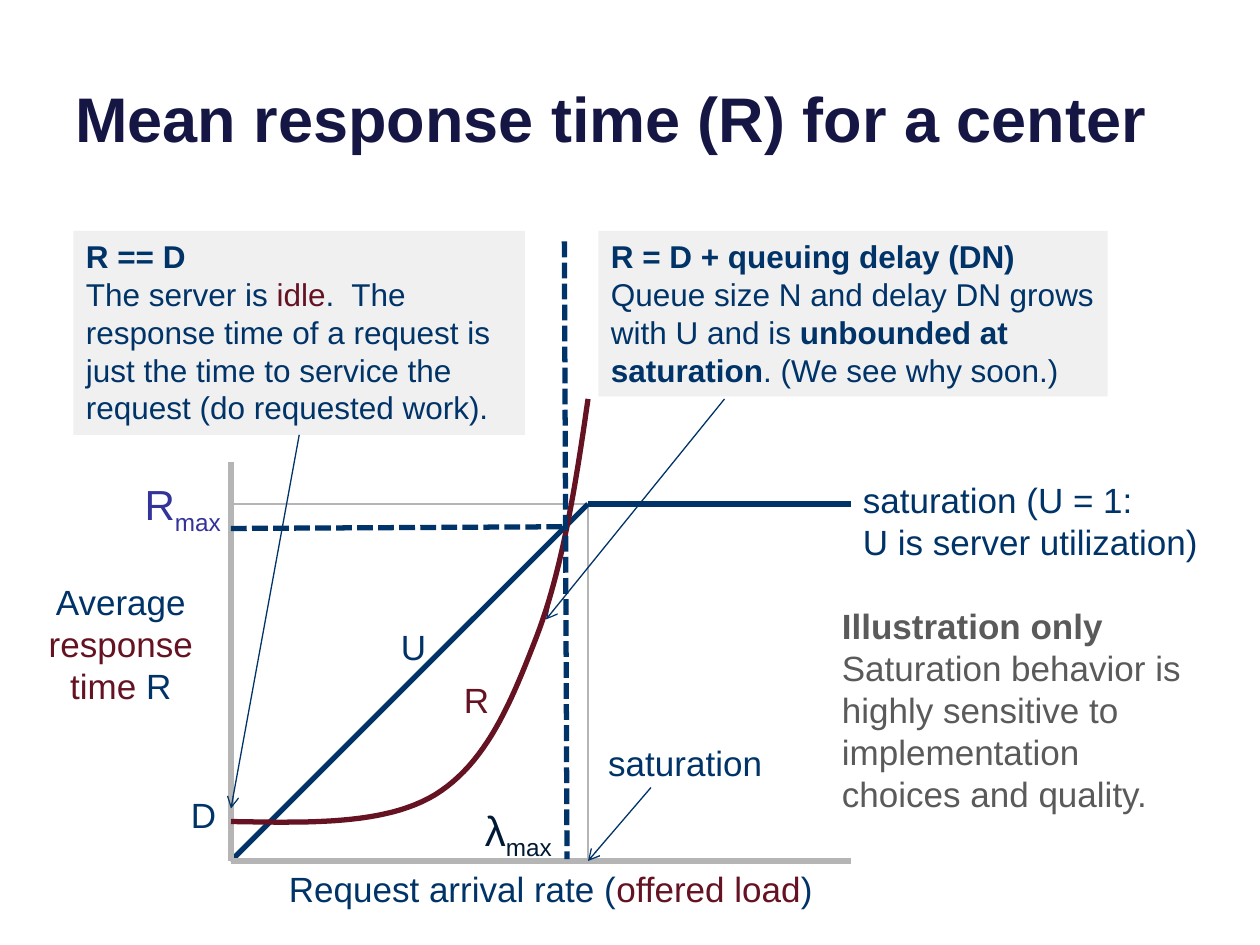
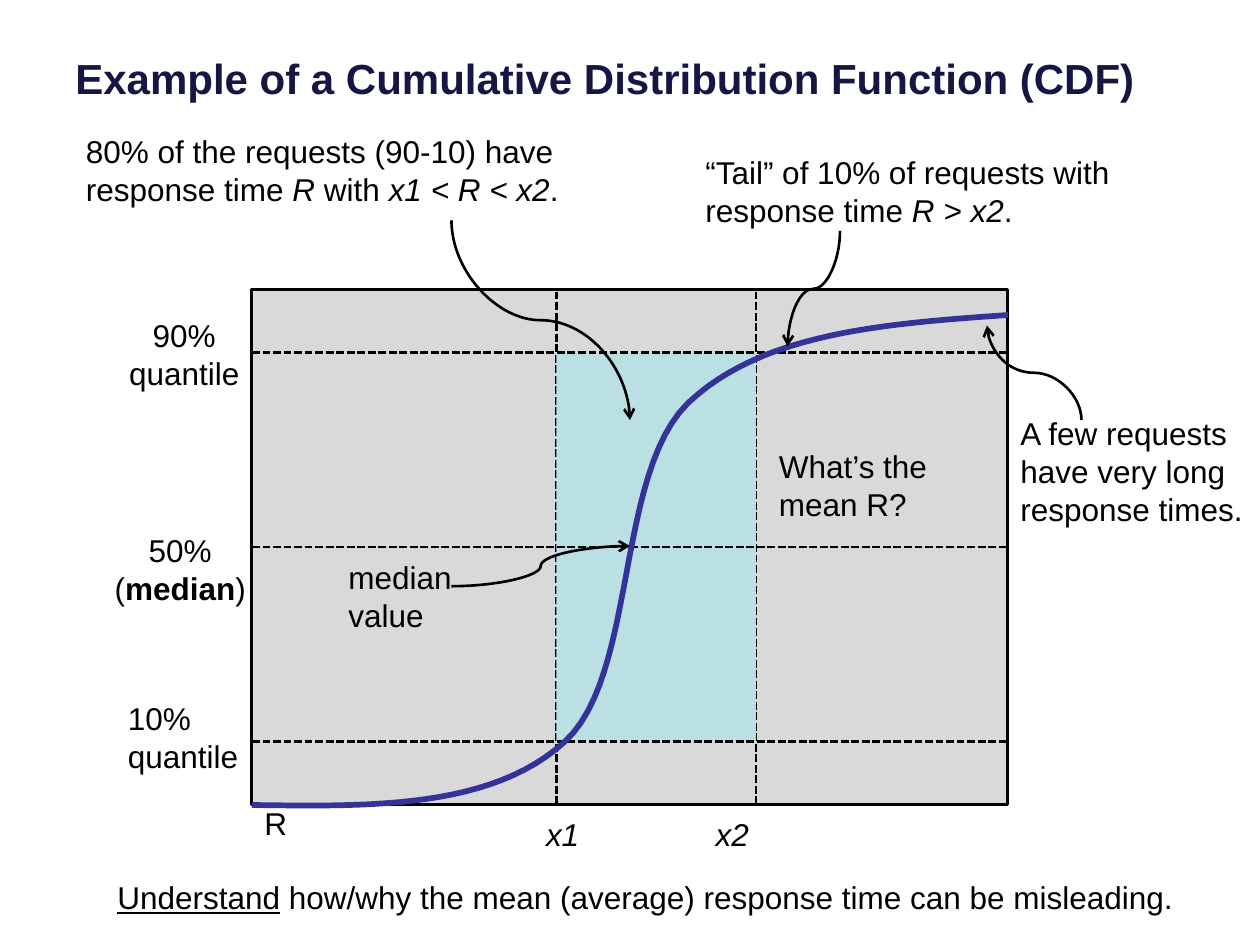
from dataclasses import dataclass
from lxml.etree import SubElement as Sub
from pptx import Presentation
from pptx.dml.color import RGBColor as Rgb
from pptx.enum.dml import MSO_LINE as Dash
from pptx.enum.shapes import MSO_CONNECTOR as Link, MSO_SHAPE as Kind
from pptx.enum.text import MSO_ANCHOR as Anchor, MSO_AUTO_SIZE as Auto, PP_ALIGN as Align
from pptx.oxml.ns import qn
from pptx.util import Pt


@dataclass(frozen=True)
class Theme:
    font: str = "Arial"
    head: str = "161645"
    navy: str = "003367"
    wine: str = "651222"
    dark: str = "001934"
    blue: str = "333399"
    axis: str = "B5B5B5"
    note: str = "5A5A5A"
    pale: str = "F0F0F0"
    white: str = "FFFFFF"
    plot: str = "D9D9D9"
    teal: str = "BBE0E3"
    black: str = "000000"
    big: int = 36
    sub: int = 24
    mid: int = 20
    small: int = 18
    thick: float = 3
    thin: float = 0.75
    rule: float = 1.5
    edge: float = 1.75
    bold: float = 3.25


T = Theme()

MEAN = "Mean response time (R) for a center"
LEFT, RIGHT, TOP, BASE = 132, 486, 264, 492
SAT, FULL = 336, 288
SIDE = SAT - LEFT

IDLE = dict(
    text=[[("R == D", "b")],
          [("The server is ", ""), ("idle", "w"),
           (".  The response time of a request is just the time to service the request (do requested work).", "")]],
    at=(42, 132, 258, 116.5), size=T.small, ink=T.navy, fill=T.pale)
LOADED = dict(
    text=[[("R = D + queuing delay (DN)", "b")],
          [("Queue size N and delay DN grows with U and is ", ""),
           ("unbounded at saturation", "b"), (". (We see why soon.)", "")]],
    at=(342, 132, 291, 94.5), size=T.small, ink=T.navy, fill=T.pale)
NOTE = dict(
    text=[[("Illustration only", "b")],
          [("Saturation behavior is highly sensitive to implementation choices and quality.", "")]],
    at=(474, 342, 222, 128), size=T.mid, ink=T.note, fill=T.white)
AVERAGE = dict(
    text=[[("Average ", ""), ("response time ", "w"), ("R", "")]],
    at=(6, 328, 126, 80), size=T.mid, ink=T.navy, align=Align.CENTER)

LABELS = [
    ([[("Request arrival rate (", ""), ("offered load", "w"), (")", "")]], (158, 492, 316, 32), T.mid, T.navy),
    ([[("saturation", "")]], (340.5, 420, 103, 32), T.mid, T.navy),
    ([[("saturation (U = 1:", "")], [("U is server utilization)", "")]], (486, 270, 207.5, 55.5), T.mid, T.navy),
    ([[("U", "")]], (222, 354, 29, 32), T.mid, T.navy),
    ([[("R", "")]], (258, 384, 29, 32), T.mid, T.wine),
    ([[("D", "")]], (102, 450, 29, 32), T.mid, T.navy),
    ([[("R", ""), ("max", "s")]], (75.5, 270, 62.5, 36), T.sub, T.blue),
    ([[("λ", ""), ("max", "s")]], (270, 456, 58.5, 36), T.sub, T.dark),
]
AXES = [
    ((SAT, FULL, RIGHT, FULL), T.navy),
    ((LEFT, BASE, SAT, FULL), T.navy),
    ((LEFT, TOP, LEFT, BASE), T.axis),
    ((RIGHT, BASE, LEFT, BASE), T.axis),
]
DELAY = [(LEFT, 469.5), (175.7, 470.2), (219.6, 471.6), (248.4, 454.3), (277.9, 436.3),
         (292.3, 401), (306.7, 363.6), (321.1, 326.2), (329, 277.2), (SAT, 228)]
HINTS = [(372, 450, SAT, BASE), (414, 228, 312, 354)]
LIMITS = [(322.5, 138, 324, 491), (LEFT, 302, 324, 301)]

CDF = "Example of a Cumulative Distribution Function (CDF)"
PLOT = (144, 165.6, 432, 294)
LOW, HIGH = 318, 432
Q90, Q10 = 201.6, 423.6

WORDS = [
    ([[("80% of the requests (90-10) have response time ", ""), ("R", "i"), (" with ", ""),
       ("x1 < R < x2", "i"), (".", "")]], (42, 72, 288, 51)),
    ([[("“Tail” of 10% of requests with response time ", ""), ("R > x2", "i"), (".", "")]], (396, 84, 324, 51)),
    ([[("median value", "")]], (192, 315.5, 102, 51)),
    ([[("What’s the mean R?", "")]], (438, 252, 114, 51)),
    ([[("Understand", "u"), (" how/why the mean (average) response time can be misleading.", "")]],
     (60, 498, 618, 29)),
    ([[("R", "")]], (144, 456, 114, 29)),
    ([[("A few requests have very long response times.", "")]], (576, 233, 144, 73)),
]
TICKS = [
    ([[("10%", "")], [("quantile", "")]], (66, 396, 78.5, 51), Align.LEFT),
    ([[("90%", "")], [("quantile", "")]], (66, 177, 78.5, 51), Align.CENTER),
    ([[("50%", "")], [("(", ""), ("median", "b"), (")", "")]], (58, 300, 90, 51), Align.CENTER),
    ([[("x1", "i")]], (302.5, 462, 38, 29), Align.CENTER),
    ([[("x2", "i")]], (399.5, 462, 38, 29), Align.CENTER),
]
SPREAD = [(144, 460), (212.4, 461), (280.8, 462), (322.6, 424), (364.3, 386),
          (351.4, 271.4), (393.1, 230.4), (435.6, 190), (505.4, 185), (576, 180)]
ACROSS = (258, 335, 360, 312)
DROPS = [(258, 126, 360, 240), (480, 132, 450, 198), (618, 240, 564, 186)]


def pts(nums):
    return [Pt(n) for n in nums]


def say(slide, text, at, size, ink, align=Align.LEFT, wrap=True, fill=None):
    box = slide.shapes.add_textbox(*pts(at))
    frame = box.text_frame
    frame.word_wrap = wrap
    frame.auto_size = Auto.SHAPE_TO_FIT_TEXT
    if fill:
        box.fill.solid()
        box.fill.fore_color.rgb = Rgb.from_string(fill)
    for n, parts in enumerate(text):
        para = frame.add_paragraph() if n else frame.paragraphs[0]
        para.alignment = align
        for words, marks in parts:
            run = para.add_run()
            run.text = words
            font = run.font
            font.name, font.size = T.font, Pt(size)
            font.bold, font.italic, font.underline = ("b" in marks, "i" in marks, "u" in marks)
            font.color.rgb = Rgb.from_string(T.wine if "w" in marks else ink)
            if "s" in marks:
                run._r.get_or_add_rPr().set("baseline", "-25000")
    return box


def start(deck, title, size, foot):
    slide = deck.slides.add_slide(deck.slide_layouts[6])
    box = say(slide, [[(title, "b")]], (36, foot - 54, 648, 54), size, T.head)
    box.text_frame.auto_size = Auto.NONE
    box.text_frame.vertical_anchor = Anchor.BOTTOM
    return slide


def ink_line(shape, ink, width):
    shape.line.color.rgb = Rgb.from_string(ink)
    shape.line.width = Pt(width)


def rect(slide, at, fill=None, ink=None, width=0):
    shape = slide.shapes.add_shape(Kind.RECTANGLE, *pts(at))
    shape.shadow.inherit = False
    if fill:
        shape.fill.solid()
        shape.fill.fore_color.rgb = Rgb.from_string(fill)
    else:
        shape.fill.background()
    if ink:
        ink_line(shape, ink, width)
    else:
        shape.line.fill.background()
    return shape


def line(slide, ends, ink, width, dash=False, arrow=False, kind=Link.STRAIGHT):
    link = slide.shapes.add_connector(kind, *pts(ends))
    ink_line(link, ink, width)
    if dash:
        link.line.dash_style = Dash.SQUARE_DOT
    props = link._element.spPr
    if arrow:
        Sub(props.find(qn("a:ln")), qn("a:tailEnd"), type="arrow")
    Sub(props, qn("a:effectLst"))
    return link


def drop(slide, ends, ink, width):
    ax, ay, bx, by = ends
    cx, cy = (ax + bx) / 2, (ay + by) / 2
    dx, dy = ay - cy, cx - ax
    turned = (cx + dx, cy + dy, cx - dx, cy - dy)
    line(slide, turned, ink, width, arrow=True, kind=Link.CURVE).rotation = 90


def bend(a, b, c, d, t):
    s = 1 - t
    return [s**3 * p + 3 * s * s * t * q + 3 * s * t * t * u + t**3 * v
            for p, q, u, v in zip(a, b, c, d)]


def curve(slide, knots, ink, width, steps=24):
    path = [pts(bend(*knots[k:k + 4], n / steps))
            for k in range(0, len(knots) - 1, 3) for n in range(1, steps + 1)]
    pen = slide.shapes.build_freeform(*pts(knots[0]))
    pen.add_line_segments(path, close=False)
    shape = pen.convert_to_shape()
    shape.shadow.inherit = False
    shape.fill.background()
    ink_line(shape, ink, width)


def draw_mean(deck):
    slide = start(deck, MEAN, T.big, 92)
    rect(slide, (LEFT, FULL, SIDE, SIDE), ink=T.axis, width=T.rule)
    for ends, ink in AXES:
        line(slide, ends, ink, T.thick)
    idle = say(slide, **IDLE)
    for item in (LOADED, NOTE, AVERAGE):
        say(slide, **item)
    for text, at, size, ink in LABELS:
        say(slide, text, at, size, ink, wrap=False)
    hint = line(slide, (171, 248.5, LEFT, 462), T.navy, T.thin, arrow=True)
    hint.begin_connect(idle, 2)
    for ends in HINTS:
        line(slide, ends, T.navy, T.thin, arrow=True)
    curve(slide, DELAY, T.wine, T.thick)
    for ends in LIMITS:
        line(slide, ends, T.navy, T.thick, dash=True)


def draw_cdf(deck):
    slide = start(deck, CDF, T.sub, 62.5)
    left, top, wide, high = PLOT
    right, base = left + wide, top + high
    plot = rect(slide, PLOT, T.plot, T.black, T.edge)
    for x in (LOW, HIGH):
        line(slide, (x, base, x, top), T.black, T.rule, dash=True)
    rect(slide, (LOW, Q90, HIGH - LOW, Q10 - Q90), T.teal)
    for y in (Q90, Q10):
        line(slide, (left, y, right, y), T.black, T.rule, dash=True)
    half = top + high / 2
    middle = line(slide, (left, half, right, half), T.black, T.rule, dash=True)
    middle.begin_connect(plot, 1)
    middle.end_connect(plot, 3)
    curve(slide, SPREAD, T.blue, T.bold)
    for text, at in WORDS:
        say(slide, text, at, T.small, T.black)
    for text, at, align in TICKS:
        say(slide, text, at, T.small, T.black, align, wrap=False)
    line(slide, ACROSS, T.black, T.rule, arrow=True, kind=Link.CURVE)
    for ends in DROPS:
        drop(slide, ends, T.black, T.rule)


def main():
    deck = Presentation()
    deck.slide_width, deck.slide_height = Pt(720), Pt(540)
    draw_mean(deck)
    draw_cdf(deck)
    deck.save("out.pptx")


if __name__ == "__main__":
    main()
